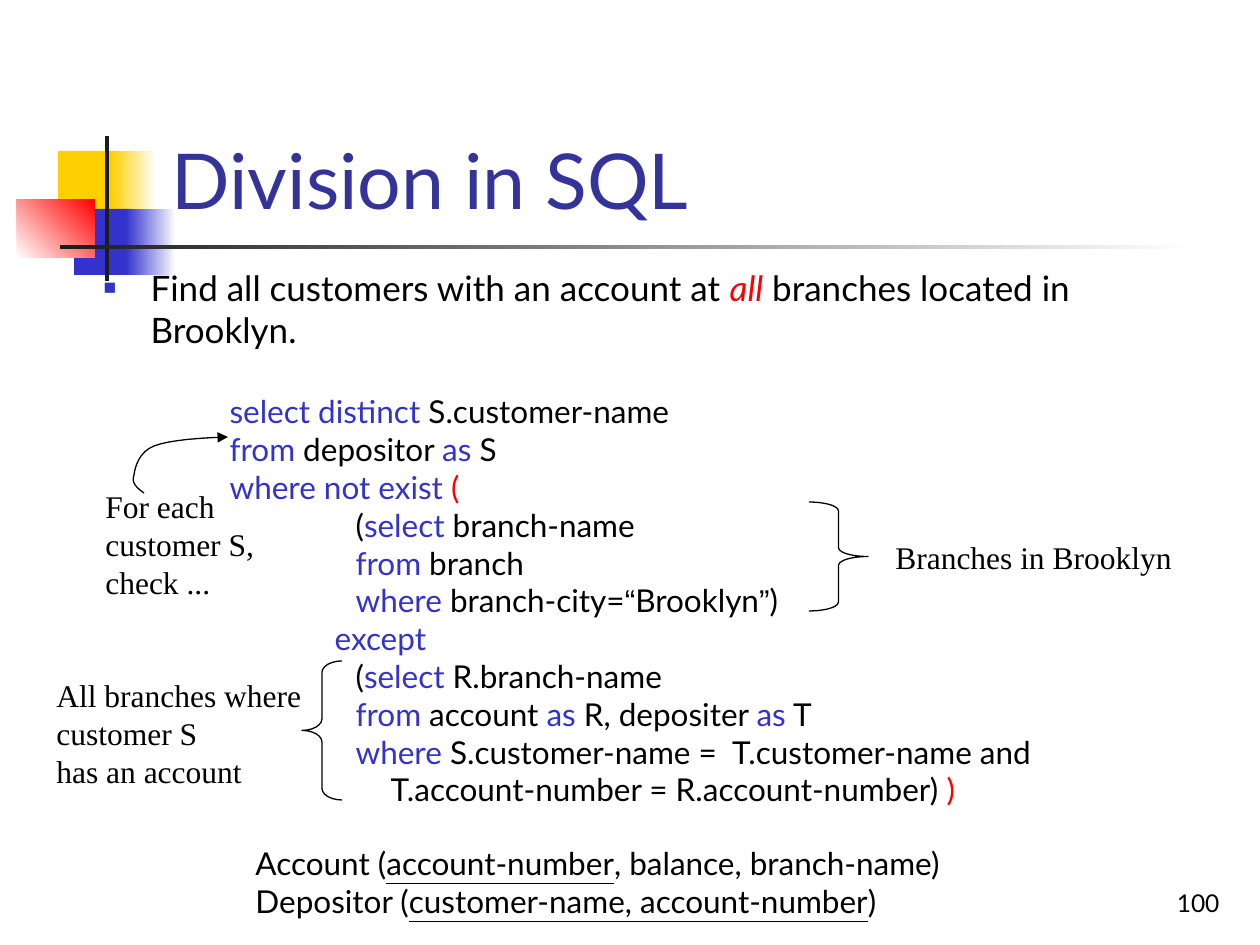
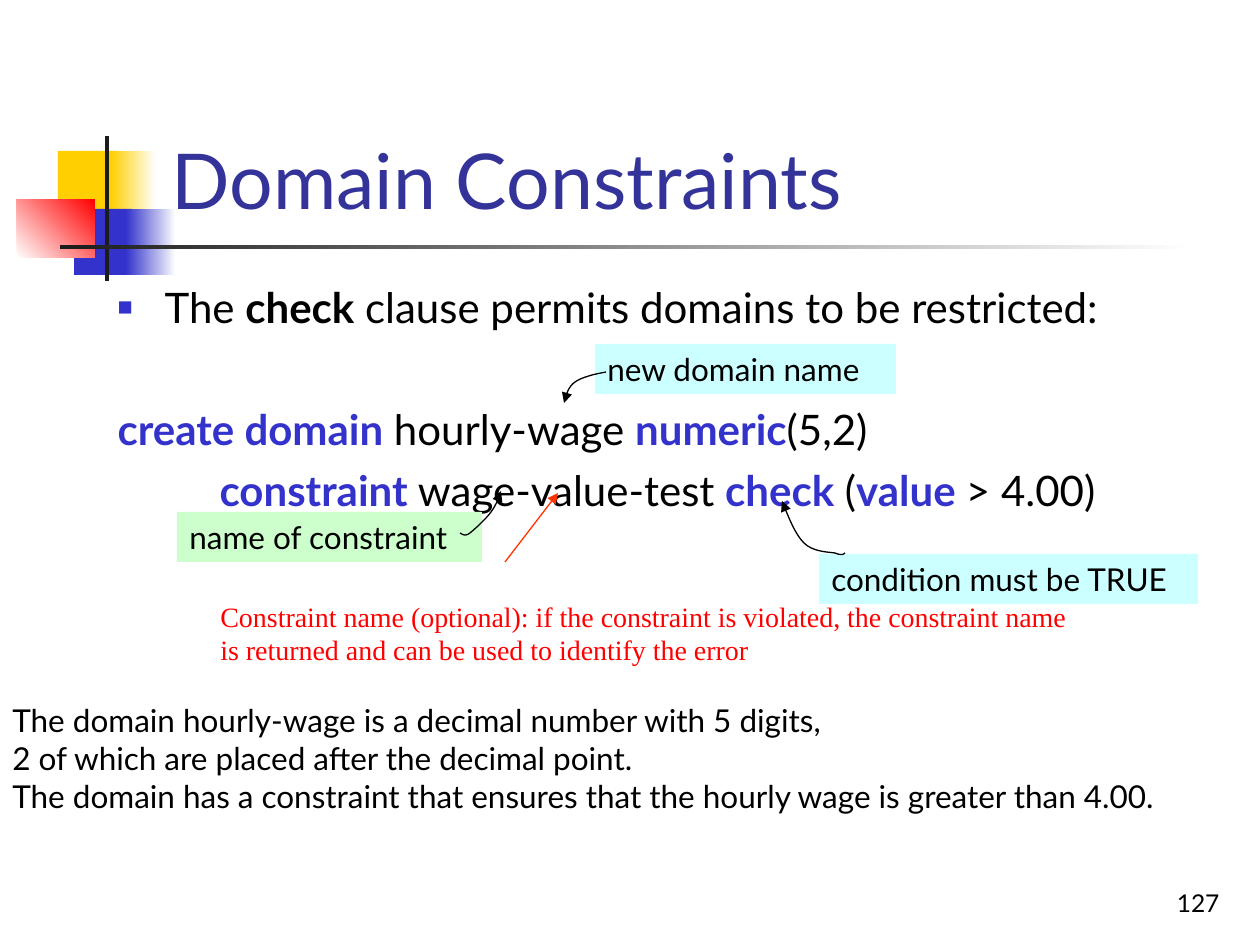
"""Builds two SQL lecture slides: division and domain constraints."""
from pptx import Presentation, util as u
from pptx.dml.color import RGBColor
from pptx.enum import shapes as s, text as t
from pptx.oxml.ns import qn
from lxml import etree

PX = u.Inches(1) / 126
BLACK = RGBColor(0, 0, 0)
WHITE = RGBColor(255, 255, 255)
INK = RGBColor(0x1C, 0x1C, 0x1C)
GOLD = RGBColor(0xFF, 0xCF, 0x01)
BLUE = RGBColor(0x33, 0x33, 0xCC)
NAVY = RGBColor(0x33, 0x33, 0x99)
RED = RGBColor(255, 0, 0)
FLAME = RGBColor(0xFF, 0x33, 0)
AQUA = RGBColor(0xCC, 255, 255)
MINT = RGBColor(0xCC, 255, 0xCC)
SANS = "Lato"
SERIF = "Times New Roman"
MARKS = {
    "*": (BLUE, {}),
    "#": (BLUE, {"bold": True}),
    "+": (None, {"bold": True}),
    "!": (RED, {}),
    "/": (RED, {"italic": True}),
    "_": (None, {"underline": True}),
    "^": (None, {"name": "Arial"}),
}


def px(*sizes):
    return [u.Emu(round(n * PX)) for n in sizes]


def write(frame, rows, size, face=SANS, tint=BLACK):
    """Fills a frame with (left, gap, text) rows; | splits runs, a mark styles one."""
    frame.word_wrap = True
    frame.auto_size = t.MSO_AUTO_SIZE.NONE
    for i, (left, gap, line) in enumerate(rows):
        para = frame.add_paragraph() if i else frame.paragraphs[0]
        props = para._p.get_or_add_pPr()
        props.set("marL", str(px(left)[0]))
        props.set("indent", "0")
        if line.startswith("■"):
            line = line[1:]
            props.set("indent", str(px(-left)[0]))
            hue = etree.SubElement(props, qn("a:buClr"))
            etree.SubElement(hue, qn("a:srgbClr"), val=str(BLUE))
            etree.SubElement(props, qn("a:buSzPct"), val="60000")
            etree.SubElement(props, qn("a:buFont"), typeface="Arial")
            etree.SubElement(props, qn("a:buChar"), char="■")
        else:
            etree.SubElement(props, qn("a:buNone"))
        para.alignment = t.PP_ALIGN.LEFT
        para.space_before = u.Pt(gap)
        para.font.size = u.Pt(size)
        para.font.name = face
        para.font.color.rgb = tint
        for part in filter(None, line.split("|")):
            run = para.add_run()
            hue, looks = MARKS.get(part[0], (None, {}))
            run.text = part[1:] if part[0] in MARKS else part
            if hue is not None:
                run.font.color.rgb = hue
            for key, value in looks.items():
                setattr(run.font, key, value)


deck = Presentation()
deck.slide_width, deck.slide_height = u.Inches(10), u.Inches(7.5)
plan = deck.slide_layouts[1]
pair = [deck.slides.add_slide(plan) for _ in range(2)]
query, domain = pair

tree = deck.slide_master.shapes.element
bands = [
    (58, 151, 60, 66, GOLD, None, 0),
    (111, 151, 45, 66, GOLD, WHITE, 0),
    (74, 209, 58, 66, BLUE, None, 0),
    (126, 209, 50, 66, BLUE, WHITE, 0),
    (17, 199, 78, 59, WHITE, RED, 45),
    (105, 136, 4, 145, INK, None, 0),
    (60, 245, 1134, 4, INK, WHITE, 0),
]
for i, (x, y, w, h, near, far, turn) in enumerate(bands):
    band = query.shapes.add_shape(s.MSO_SHAPE.RECTANGLE, *px(x, y, w, h))
    band.shadow.inherit = False
    band.line.fill.background()
    if far is None:
        band.fill.solid()
        band.fill.fore_color.rgb = near
    else:
        band.fill.gradient()
        band.fill.gradient_angle = turn
        for stop, hue in zip(band.fill.gradient_stops, (near, far)):
            stop.color.rgb = hue
    band.element.nvSpPr.cNvPr.set("id", str(20 + i))
    tree.insert(2 + i, band.element)

heads = [("Division in SQL", "100"), ("Domain Constraints", "127")]
for slide, (head, page) in zip(pair, heads):
    title = slide.shapes.title
    title.left, title.top, title.width, title.height = px(159, 29, 1074, 202)
    write(title.text_frame, [(0, 0, head)], 44, tint=NAVY)
    title.text_frame.vertical_anchor = t.MSO_ANCHOR.BOTTOM
    foot = slide.shapes.add_textbox(*px(970, 861, 262, 63)).text_frame
    write(foot, [(0, 0, page)], 14)
    foot.vertical_anchor = t.MSO_ANCHOR.BOTTOM
    foot.paragraphs[0].alignment = t.PP_ALIGN.RIGHT

body = query.placeholders[1]
body.left, body.top, body.width, body.height = px(91, 260, 1092, 578)
write(body.text_frame, [
    (47, 0, "■Find all customers with an account at |/all| branches located in Brooklyn."),
    (126, 24, "*select distinct| S.customer-name"),
    (126, 0, "*from| depositor |*as |S"),
    (126, 0, "*where not exist |!("),
    (252, 0, "(|*select| branch-name"),
    (252, 0, "*from| branch"),
    (252, 0, "*where| branch-city=|^“|Brooklyn|^”|)"),
    (231, 0, "*except"),
    (252, 0, "(|*select| R.branch-name"),
    (252, 0, "*from| account |*as| R, depositer |*as| T"),
    (252, 0, "*where| S.customer-name =  T.customer-name and"),
    (287, 0, "T.account-number = R.account-number) |!)"),
], 18)
body.text_frame.paragraphs[0].font.size = u.Pt(20)

body = domain.placeholders[1]
body.left, body.top, body.width, body.height = px(105, 275, 1080, 416)
write(body.text_frame, [
    (47, 0, "■The |+check| clause permits domains to be restricted:"),
    (0, 40.8, "#create domain| hourly-wage |#numeric|(5,2)"),
    (102, 6, "#constraint |wage-value-test |#check| (|#value |> 4.00)"),
], 24)

notes = [
    (query, (93, 481, 190, 126), 0, 18, SERIF, BLACK, None,
     ["For each", "customer S,", "check ..."]),
    (query, (44, 670, 284, 126), 0, 18, SERIF, BLACK, None,
     ["All branches where", "customer S", "has an account"]),
    (query, (883, 532, 315, 50), 0, 18, SERIF, BLACK, None,
     ["Branches in Brooklyn"]),
    (query, (180, 838, 878, 88), 63, 18, SANS, BLACK, None,
     ["Account (|_account-number|, balance, branch-name)",
      "Depositor (|_customer-name, account-number|)"]),
    (domain, (208, 593, 890, 81), 0, 16, SERIF, RED, None,
     ["Constraint name (optional): if the constraint is violated, the constraint name",
      "is returned and can be used to identify the error"]),
    (domain, (819, 554, 379, 50), 0, 18, SANS, BLACK, AQUA,
     ["condition must be TRUE"]),
    (domain, (177, 512, 305, 50), 0, 18, SANS, BLACK, MINT,
     ["name of constraint"]),
    (domain, (595, 344, 301, 50), 0, 18, SANS, BLACK, AQUA,
     ["new domain name"]),
    (domain, (0, 695, 1260, 126), 0, 18, SANS, BLACK, None,
     ["The domain hourly-wage is a decimal number with 5 digits,",
      "2 of which are placed after the decimal point.",
      "The domain has a constraint that ensures that the hourly wage is greater than 4.00."]),
]
for slide, spot, left, size, face, tint, fill, lines in notes:
    note = slide.shapes.add_textbox(*px(*spot))
    if fill is not None:
        note.fill.solid()
        note.fill.fore_color.rgb = fill
    write(note.text_frame, [(left, 0, line) for line in lines], size, face, tint)

braces = [
    (s.MSO_SHAPE.RIGHT_BRACE, (809, 502, 59, 109), 0.15),
    (s.MSO_SHAPE.LEFT_BRACE, (302, 661, 40, 139), 0.29),
]
for kind, spot, bend in braces:
    brace = query.shapes.add_shape(kind, *px(*spot))
    brace.shadow.inherit = False
    brace.fill.background()
    brace.line.color.rgb = BLACK
    brace.line.width = u.Pt(0.75)
    brace.adjustments[0] = bend

curves = [
    (query, [(144, 493), (137, 488), (131, 483), (134, 475), (135, 467),
             (139, 452), (154, 446), (170, 440), (199, 438), (228, 437)]),
    (domain, [(845, 553), (844, 554), (842, 556), (835, 553), (828, 552),
              (813, 552), (804, 543), (795, 534), (789, 518), (782, 501)]),
    (domain, [(460, 533), (462, 534), (465, 537), (470, 533), (475, 529),
              (486, 519), (491, 512), (496, 505), (499, 498), (501, 491)]),
    (domain, [(606, 372), (595, 374), (582, 377), (575, 382), (568, 387),
              (566, 395), (564, 403)]),
]
arrows = []
for slide, dots in curves:
    trace = []
    for i in range(0, len(dots) - 1, 3):
        for step in range(1, 9):
            k = step / 8
            parts = ((1 - k) ** 3, 3 * k * (1 - k) ** 2, 3 * k * k * (1 - k), k ** 3)
            trace.append(px(*(sum(a * b for a, b in zip(parts, axis))
                              for axis in zip(*dots[i:i + 4]))))
    pen = slide.shapes.build_freeform(*px(*dots[0]))
    pen.add_line_segments(trace, close=False)
    curve = pen.convert_to_shape()
    curve.fill.background()
    curve.shadow.inherit = False
    arrows.append((curve, BLACK))

link = domain.shapes.add_connector(s.MSO_CONNECTOR.STRAIGHT, *px(505, 562, 558, 493))
arrows.append((link, FLAME))
for arrow, hue in arrows:
    arrow.line.color.rgb = hue
    arrow.line.width = u.Pt(0.75)
    etree.SubElement(arrow.element.spPr.find(qn("a:ln")), qn("a:tailEnd"), type="triangle")
etree.SubElement(link.element.spPr, qn("a:effectLst"))

deck.save("out.pptx")
